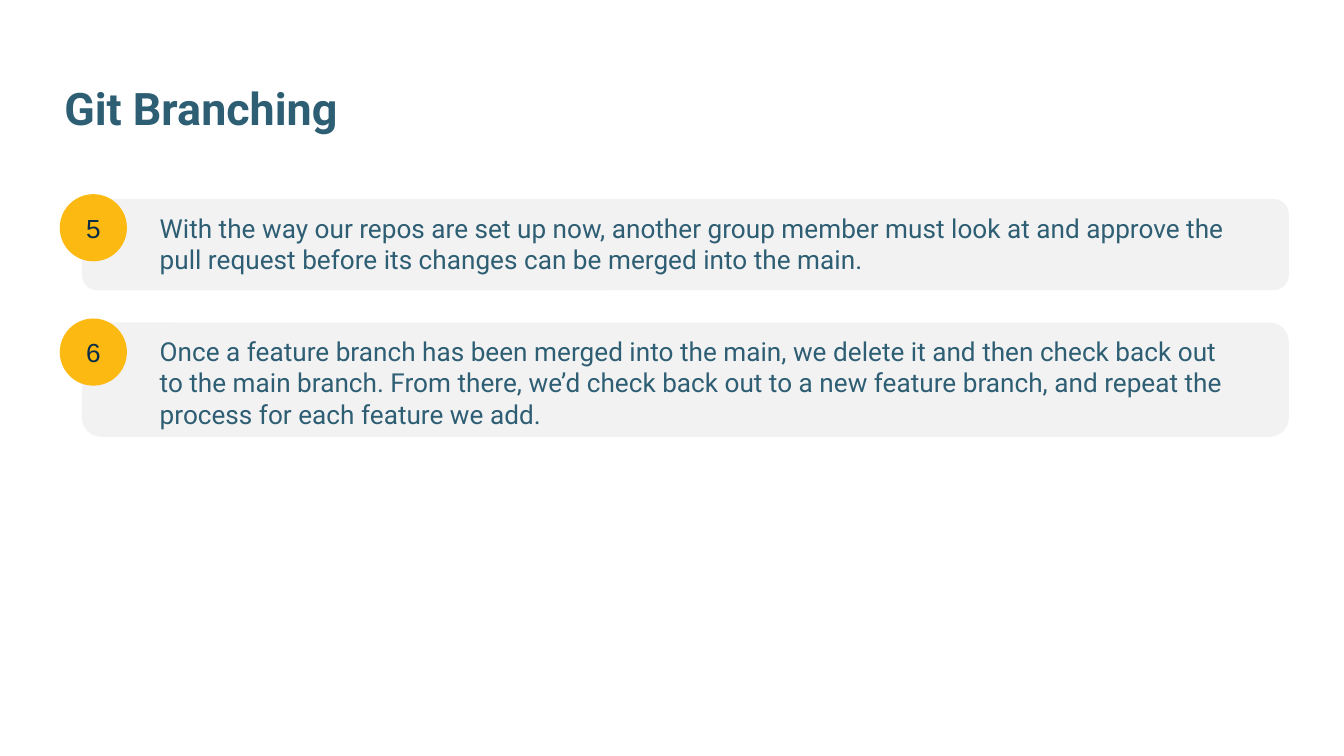
from dataclasses import dataclass

import pptx
import pptx.dml.color
import pptx.enum.shapes
import pptx.enum.text
import pptx.util

PX = 4572
MARGIN = 20
TEAL = "2E5E73"
NAVY = "082D49"
AMBER = "FCB912"
PALE_GREY = "F2F2F2"

SHAPES = pptx.enum.shapes.MSO_SHAPE
ALIGN = pptx.enum.text.PP_ALIGN
ANCHOR = pptx.enum.text.MSO_ANCHOR


@dataclass
class Box:
    left: int
    top: int
    width: int
    height: int

    def emu(self) -> list[int]:
        return [side * PX for side in (self.left, self.top, self.width, self.height)]


@dataclass
class Step:
    number: str
    text: str
    card: Box
    text_top: int
    badge_top: int


STEPS = [
    Step(
        "5",
        "With the way our repos are set up now, another group member must look at "
        "and approve the pull request before its changes can be merged into the main.",
        Box(122, 296, 1796, 136),
        296,
        289,
    ),
    Step(
        "6",
        "Once a feature branch has been merged into the main, we delete it and then "
        "check back out to the main branch. From there, we’d check back out to a new "
        "feature branch, and repeat the process for each feature we add.",
        Box(122, 480, 1796, 170),
        479,
        474,
    ),
]


def color(value: str) -> pptx.dml.color.RGBColor:
    return pptx.dml.color.RGBColor.from_string(value)


def write(holder, text: str, *, size: int = 14, font: str = "Roboto",
          ink: str = TEAL, bold: bool = False, align=ALIGN.LEFT,
          anchor=ANCHOR.TOP) -> None:
    frame = holder.text_frame
    frame.word_wrap = True
    frame.vertical_anchor = anchor
    frame.margin_left = frame.margin_right = MARGIN * PX
    frame.margin_top = frame.margin_bottom = MARGIN * PX
    paragraph = frame.paragraphs[0]
    paragraph.alignment = align
    run = paragraph.add_run()
    run.text = text
    run.font.size = pptx.util.Pt(size)
    run.font.name = font
    run.font.bold = bold
    run.font.color.rgb = color(ink)


def draw_shape(slide, kind, box: Box, fill: str):
    shape = slide.shapes.add_shape(kind, *box.emu())
    shape.shadow.inherit = False
    shape.fill.solid()
    shape.fill.fore_color.rgb = color(fill)
    shape.line.fill.background()
    return shape


def draw_step(slide, step: Step) -> None:
    card = draw_shape(slide, SHAPES.ROUNDED_RECTANGLE, step.card, PALE_GREY)
    card.adjustments[0] = 0.167
    description = slide.shapes.add_textbox(*Box(218, step.text_top, 1648, 88).emu())
    write(description, step.text)
    badge = draw_shape(slide, SHAPES.OVAL, Box(89, step.badge_top, 100, 100), AMBER)
    write(badge, step.number, font="Arial", ink=NAVY,
          align=ALIGN.CENTER, anchor=ANCHOR.MIDDLE)


def main() -> None:
    deck = pptx.Presentation()
    deck.slide_width = 2000 * PX
    deck.slide_height = 1125 * PX
    slide = deck.slides.add_slide(deck.slide_layouts[6])
    heading = slide.shapes.add_textbox(*Box(76, 100, 1856, 154).emu())
    write(heading, "Git Branching", size=24, bold=True)
    for step in STEPS:
        draw_step(slide, step)
    deck.save("out.pptx")


if __name__ == "__main__":
    main()
